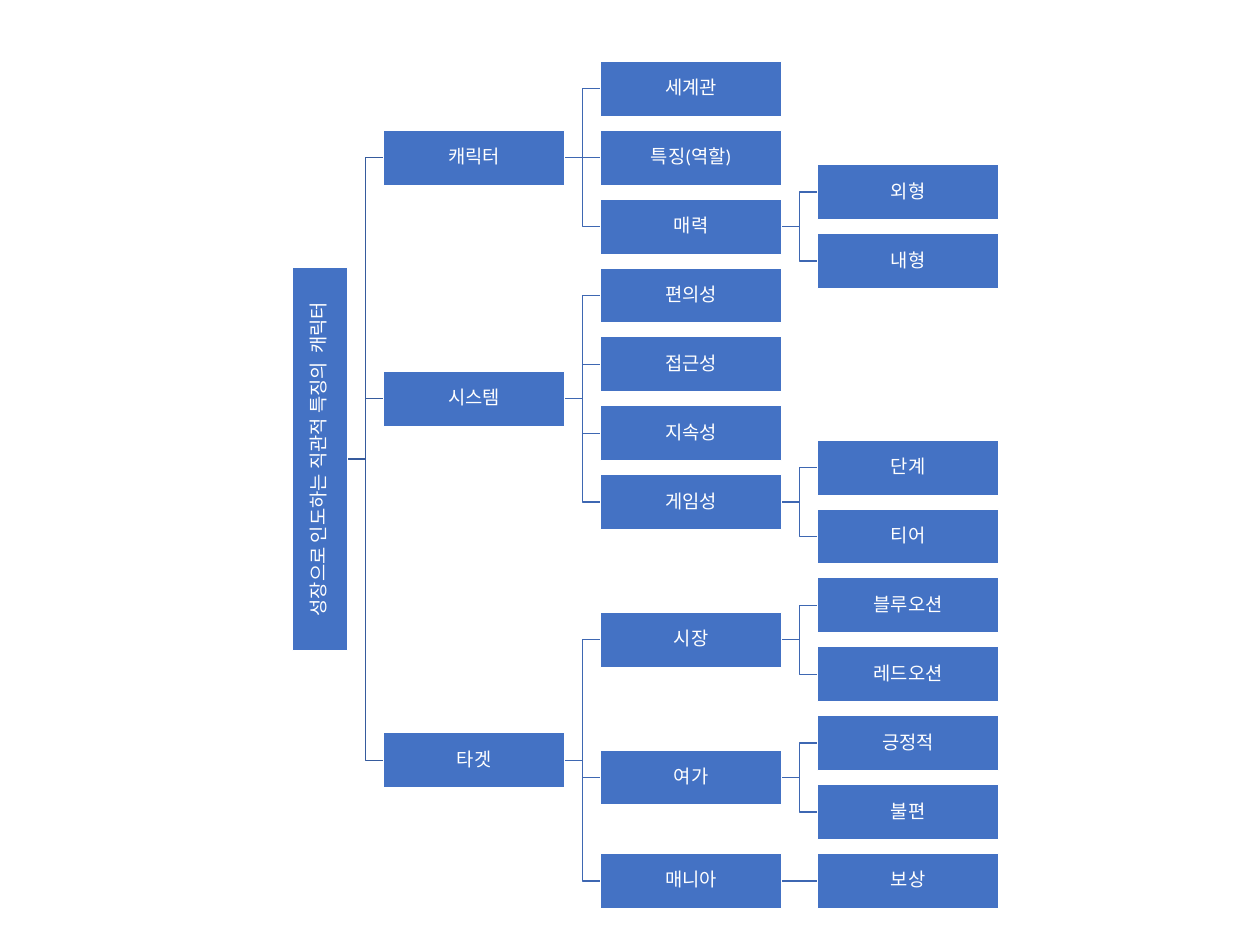
import lxml.etree
import pptx
import pptx.dml.color
import pptx.enum.shapes
import pptx.enum.text
import pptx.oxml.ns
import pptx.util
from collections import defaultdict
from dataclasses import dataclass, field

Pt = pptx.util.Pt


def rgb(value):
    return pptx.dml.color.RGBColor.from_string(value)


@dataclass
class Theme:
    fill: str = "4472C4"
    text: str = "FFFFFF"
    border: str = "FFFFFF"
    trunk: str = "365B9D"
    branch: str = "3E67B2"
    font: str = "Calibri"
    size: float = 15
    line: float = 1


@dataclass
class Node:
    label: str
    children: list = field(default_factory=list)
    depth: int = 0
    row: float = 0
    shape: object = None


THEME = Theme()

# Box geometry in points
BOX_W, BOX_H = 144.7, 44.1
ROOT_LENGTH = 306
LEFT, COLUMN_PITCH = 306.9, 173.6  # left edge of the first branch column
TOP, ROW_PITCH = 71.1, 55.1        # centre of the first row
GAP = COLUMN_PITCH - BOX_W

TREE = ("성장으로 인도하는 직관적 특징의  캐릭터", [
    ("캐릭터", ["세계관", "특징(역할)", ("매력", ["외형", "내형"])]),
    ("시스템", ["편의성", "접근성", "지속성", ("게임성", ["단계", "티어"])]),
    ("타겟", [
        ("시장", ["블루오션", "레드오션"]),
        ("여가", ["긍정적", "불편"]),
        ("매니아", ["보상"]),
    ]),
])


def make_node(item, depth=0):
    label, children = (item, []) if isinstance(item, str) else item
    return Node(label, [make_node(c, depth + 1) for c in children], depth)


def place(node, free):
    """Give each node the next free row of its column, parents centred on children."""
    d = node.depth
    node.row = free[d]
    if node.children:
        first = free[d] - (len(node.children) - 1) / 2
        free[d + 1] = max(free[d + 1], first)
        for child in node.children:
            place(child, free)
        node.row = (node.children[0].row + node.children[-1].row) / 2
    free[d] = node.row + 1


def centre_y(node):
    return TOP + node.row * ROW_PITCH


def left_x(node):
    return LEFT + (node.depth - 1) * COLUMN_PITCH


def add_box(slide, node):
    if node.depth:
        x, w, rotation = left_x(node), BOX_W, 0
    else:  # the root stands upright, one gap before the first column
        x, w, rotation = LEFT - GAP - BOX_H / 2 - ROOT_LENGTH / 2, ROOT_LENGTH, 270
    sp = slide.shapes.add_shape(
        pptx.enum.shapes.MSO_SHAPE.RECTANGLE,
        Pt(x), Pt(centre_y(node) - BOX_H / 2), Pt(w), Pt(BOX_H))
    sp.rotation = rotation
    sp.shadow.inherit = False
    sp.fill.solid()
    sp.fill.fore_color.rgb = rgb(THEME.fill)
    sp.line.color.rgb = rgb(THEME.border)
    sp.line.width = Pt(THEME.line)

    tf = sp.text_frame
    tf.word_wrap = True
    tf.vertical_anchor = pptx.enum.text.MSO_ANCHOR.MIDDLE
    tf.margin_left = tf.margin_right = tf.margin_top = tf.margin_bottom = Pt(0.75)
    p = tf.paragraphs[0]
    p.text = node.label
    p.alignment = pptx.enum.text.PP_ALIGN.CENTER
    p.line_spacing = 0.9
    p.space_after = Pt(0.35 * THEME.size)
    p.font.name = THEME.font
    p.font.size = Pt(THEME.size)
    p.font.color.rgb = rgb(THEME.text)
    node.shape = sp


def add_link(slide, parent, child):
    kinds = pptx.enum.shapes.MSO_CONNECTOR
    kind = kinds.STRAIGHT if parent.row == child.row else kinds.ELBOW
    x = left_x(child)
    line = slide.shapes.add_connector(
        kind, Pt(x - GAP), Pt(centre_y(parent)), Pt(x), Pt(centre_y(child)))
    if parent.depth:  # joining to the rotated root would move the line
        line.begin_connect(parent.shape, 3)
        line.end_connect(child.shape, 1)
    line.line.color.rgb = rgb(THEME.branch if parent.depth else THEME.trunk)
    line.line.width = Pt(THEME.line)
    lxml.etree.SubElement(line._element.spPr, pptx.oxml.ns.qn("a:effectLst"))
    # Keep links behind the boxes
    slide.shapes._spTree.insert(2, line._element)


def walk(node):
    yield node
    for child in node.children:
        yield from walk(child)


def main():
    prs = pptx.Presentation()
    prs.slide_width, prs.slide_height = Pt(1008), Pt(756)
    slide = prs.slides.add_slide(prs.slide_layouts[6])

    root = make_node(TREE)
    place(root, defaultdict(float))

    # Boxes, then the links between them
    for node in walk(root):
        add_box(slide, node)
    for node in walk(root):
        for child in node.children:
            add_link(slide, node, child)

    prs.save("out.pptx")


if __name__ == "__main__":
    main()
